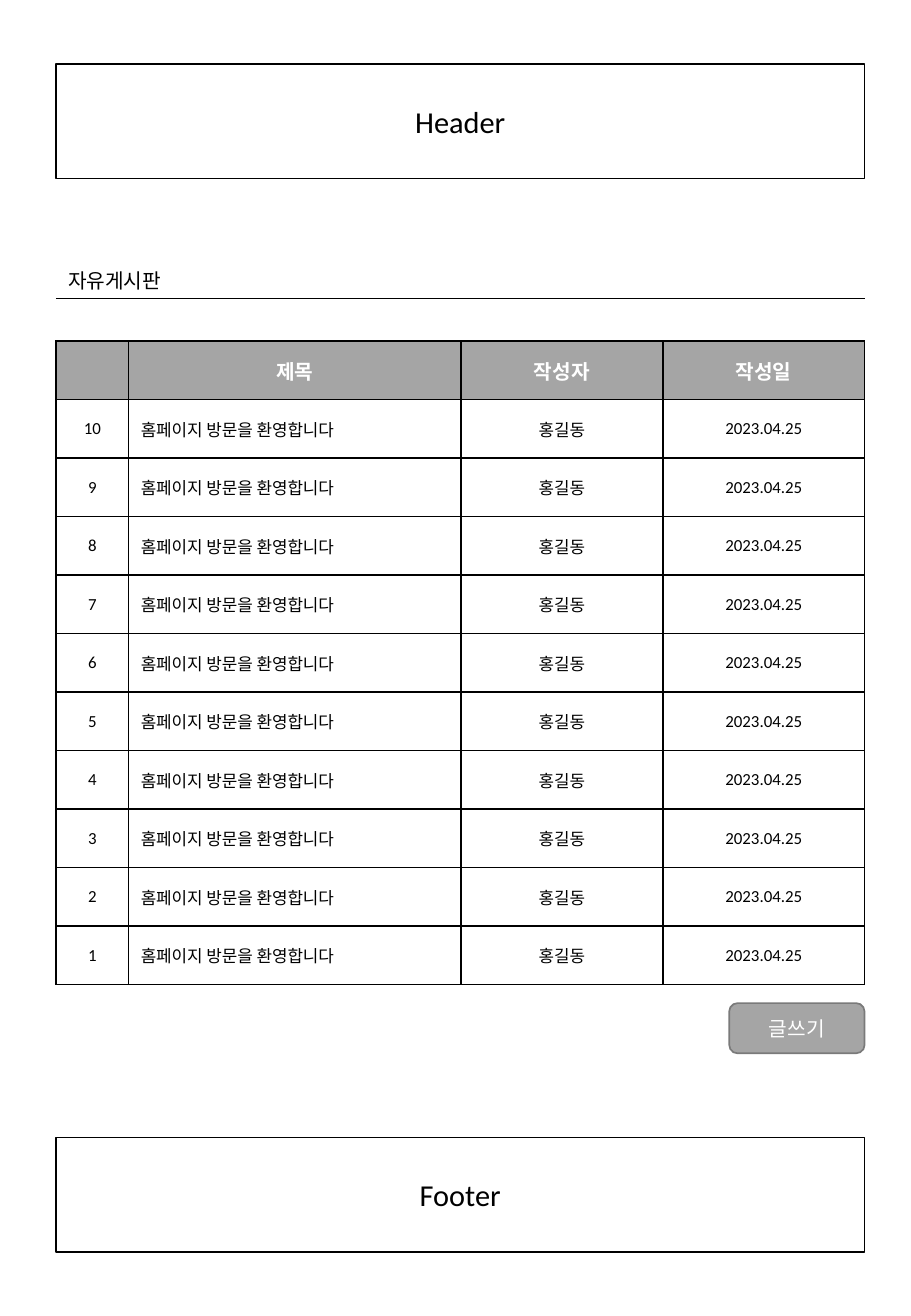
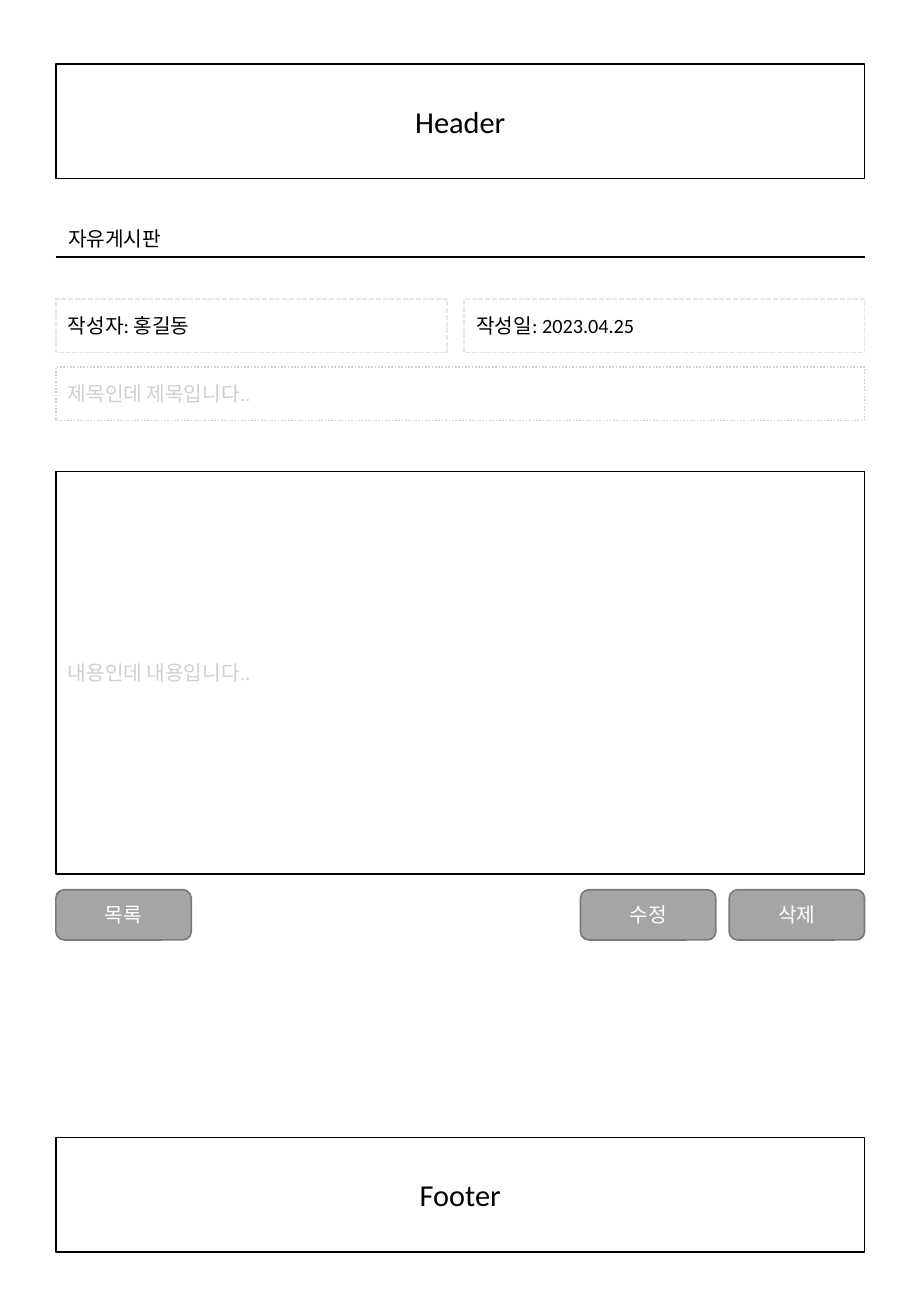
from dataclasses import dataclass

from lxml import etree
from pptx import Presentation
from pptx.dml.color import RGBColor
from pptx.enum.dml import MSO_LINE
from pptx.enum.shapes import MSO_CONNECTOR, MSO_SHAPE
from pptx.enum.text import MSO_ANCHOR, MSO_AUTO_SIZE, PP_ALIGN
from pptx.oxml.ns import qn
from pptx.util import Cm, Pt

LEFT, CENTER = PP_ALIGN.LEFT, PP_ALIGN.CENTER
TOP, MIDDLE = MSO_ANCHOR.TOP, MSO_ANCHOR.MIDDLE
NO_AUTOFIT = MSO_AUTO_SIZE.NONE
STRAIGHT = MSO_CONNECTOR.STRAIGHT
RECTANGLE, ROUNDED = MSO_SHAPE.RECTANGLE, MSO_SHAPE.ROUNDED_RECTANGLE
DASHED, DOTTED = MSO_LINE.SQUARE_DOT, MSO_LINE.ROUND_DOT
TITLE_ONLY = 5


@dataclass(frozen=True)
class Theme:
    font: str = "Calibri"
    ink: RGBColor = RGBColor(0x00, 0x00, 0x00)
    paper: RGBColor = RGBColor(0xFF, 0xFF, 0xFF)
    accent: RGBColor = RGBColor(0xA5, 0xA5, 0xA5)
    accent_edge: RGBColor = RGBColor(0x7A, 0x7A, 0x7A)
    hint: RGBColor = RGBColor(0xD0, 0xCE, 0xCE)
    faint: RGBColor = RGBColor(0xE7, 0xE6, 0xE6)
    band_size: int = 18
    text_size: int = 12
    cell_size: int = 10
    line_width: int = 1


THEME = Theme()

# Layout in centimetres
PAGE_WIDTH, PAGE_HEIGHT = 19.05, 27.51
LEFT_EDGE, CONTENT_WIDTH = 1.17, 16.91
RIGHT_EDGE = LEFT_EDGE + CONTENT_WIDTH
BAND_HEIGHT = 2.39
BANDS = {"Header": 1.34, "Footer": 23.78}
TITLE_WIDTH, TITLE_HEIGHT = 2.64, 0.76
BUTTON_WIDTH, BUTTON_HEIGHT, BUTTON_GAP = 2.83, 1.05, 0.28
FIELD_HEIGHT = 1.12

BOARD_TITLE = "자유게시판"
COLUMN_NAMES = ("", "제목", "작성자", "작성일")
COLUMN_WIDTHS = (1.52, 6.95, 4.22, 4.22)
COLUMN_ALIGNS = (CENTER, LEFT, CENTER, CENTER)
POST = ("홈페이지 방문을 환영합니다", "홍길동", "2023.04.25")
POST_COUNT = 10


def write_text(frame, text, size=THEME.text_size, color=THEME.ink, bold=False,
               align=LEFT, anchor=MIDDLE, wrap=True):
    frame.word_wrap = wrap
    frame.vertical_anchor = anchor
    para = frame.paragraphs[0]
    para.alignment = align
    span = para.add_run()
    span.text = text
    span.font.name = THEME.font
    span.font.size = Pt(size)
    span.font.bold = bold
    span.font.color.rgb = color


def add_box(page, text, left, top, width, height, shape=RECTANGLE,
            fill=THEME.paper, edge=THEME.ink, dash=None, **text_format):
    box = page.shapes.add_shape(shape, Cm(left), Cm(top), Cm(width), Cm(height))
    box.shadow.inherit = False
    box.fill.solid()
    box.fill.fore_color.rgb = fill
    box.line.color.rgb = edge
    box.line.width = Pt(THEME.line_width)
    if dash is not None:
        box.line.dash_style = dash
    write_text(box.text_frame, text, **text_format)


def add_button(page, text, left, top):
    add_box(page, text, left, top, BUTTON_WIDTH, BUTTON_HEIGHT, shape=ROUNDED,
            fill=THEME.accent, edge=THEME.accent_edge, color=THEME.paper,
            align=CENTER)


def add_right_buttons(page, labels, top):
    """Place buttons from the right margin leftwards."""
    for position, label in enumerate(reversed(labels)):
        left = RIGHT_EDGE - BUTTON_WIDTH - position * (BUTTON_WIDTH + BUTTON_GAP)
        add_button(page, label, left, top)


def add_rule(page, top):
    rule = page.shapes.add_connector(
        STRAIGHT, Cm(LEFT_EDGE), Cm(top), Cm(RIGHT_EDGE), Cm(top))
    rule.line.color.rgb = THEME.ink
    rule.line.width = Pt(THEME.line_width)
    etree.SubElement(rule.element.spPr, qn("a:effectLst"))


def add_page(deck, rule_top):
    """Add a page with its header, footer and underlined title."""
    page = deck.slides.add_slide(deck.slide_layouts[TITLE_ONLY])
    title = page.shapes.title
    title.left, title.top = Cm(LEFT_EDGE), Cm(rule_top - TITLE_HEIGHT)
    title.width, title.height = Cm(TITLE_WIDTH), Cm(TITLE_HEIGHT)
    title.text_frame.auto_size = NO_AUTOFIT
    write_text(title.text_frame, BOARD_TITLE, anchor=TOP, wrap=False)
    add_rule(page, rule_top)
    for label, top in BANDS.items():
        add_box(page, label, LEFT_EDGE, top, CONTENT_WIDTH, BAND_HEIGHT,
                size=THEME.band_size, align=CENTER)
    return page


def border_cell(cell):
    properties = cell._tc.get_or_add_tcPr()
    for side in ("lnL", "lnR", "lnT", "lnB"):
        line = etree.SubElement(properties, qn(f"a:{side}"),
                                w=str(Pt(THEME.line_width)))
        fill = etree.SubElement(line, qn("a:solidFill"))
        etree.SubElement(fill, qn("a:srgbClr"), val=str(THEME.ink))


def fill_cell(cell, text, fill, **text_format):
    border_cell(cell)
    cell.fill.solid()
    cell.fill.fore_color.rgb = fill
    cell.vertical_anchor = MIDDLE
    if text:
        write_text(cell.text_frame, text, anchor=None, **text_format)


def add_post_table(page, top, height):
    posts = [(str(number), *POST) for number in range(POST_COUNT, 0, -1)]
    rows = [COLUMN_NAMES, *posts]
    table = page.shapes.add_table(
        len(rows), len(COLUMN_NAMES), Cm(LEFT_EDGE), Cm(top),
        Cm(CONTENT_WIDTH), Cm(height)).table
    table.horz_banding = False
    for column, width in zip(table.columns, COLUMN_WIDTHS):
        column.width = Cm(width)
    for row_index, values in enumerate(rows):
        table.rows[row_index].height = Cm(height / len(rows))
        for column_index, text in enumerate(values):
            cell = table.cell(row_index, column_index)
            if row_index == 0:
                fill_cell(cell, text, THEME.accent, color=THEME.paper,
                          bold=True, align=CENTER)
            else:
                fill_cell(cell, text, THEME.paper, size=THEME.cell_size,
                          align=COLUMN_ALIGNS[column_index])


def build_list_page(deck):
    page = add_page(deck, rule_top=6.24)
    add_post_table(page, top=7.13, height=13.46)
    add_right_buttons(page, ["글쓰기"], top=20.97)


def build_post_page(deck):
    page = add_page(deck, rule_top=5.37)
    for text, left, width in (("작성자: 홍길동", LEFT_EDGE, 8.18),
                              ("작성일: 2023.04.25", 9.71, 8.37)):
        add_box(page, text, left, 6.25, width, FIELD_HEIGHT,
                edge=THEME.faint, dash=DASHED)
    add_box(page, "제목인데 제목입니다..", LEFT_EDGE, 7.67, CONTENT_WIDTH,
            FIELD_HEIGHT, edge=THEME.hint, dash=DOTTED, color=THEME.hint)
    add_box(page, "내용인데 내용입니다..", LEFT_EDGE, 9.86, CONTENT_WIDTH, 8.41,
            color=THEME.hint)
    button_top = 18.6
    add_button(page, "목록", LEFT_EDGE, button_top)
    add_right_buttons(page, ["수정", "삭제"], button_top)


def main():
    deck = Presentation()
    deck.slide_width, deck.slide_height = Cm(PAGE_WIDTH), Cm(PAGE_HEIGHT)
    build_list_page(deck)
    build_post_page(deck)
    deck.save("out.pptx")


if __name__ == "__main__":
    main()
